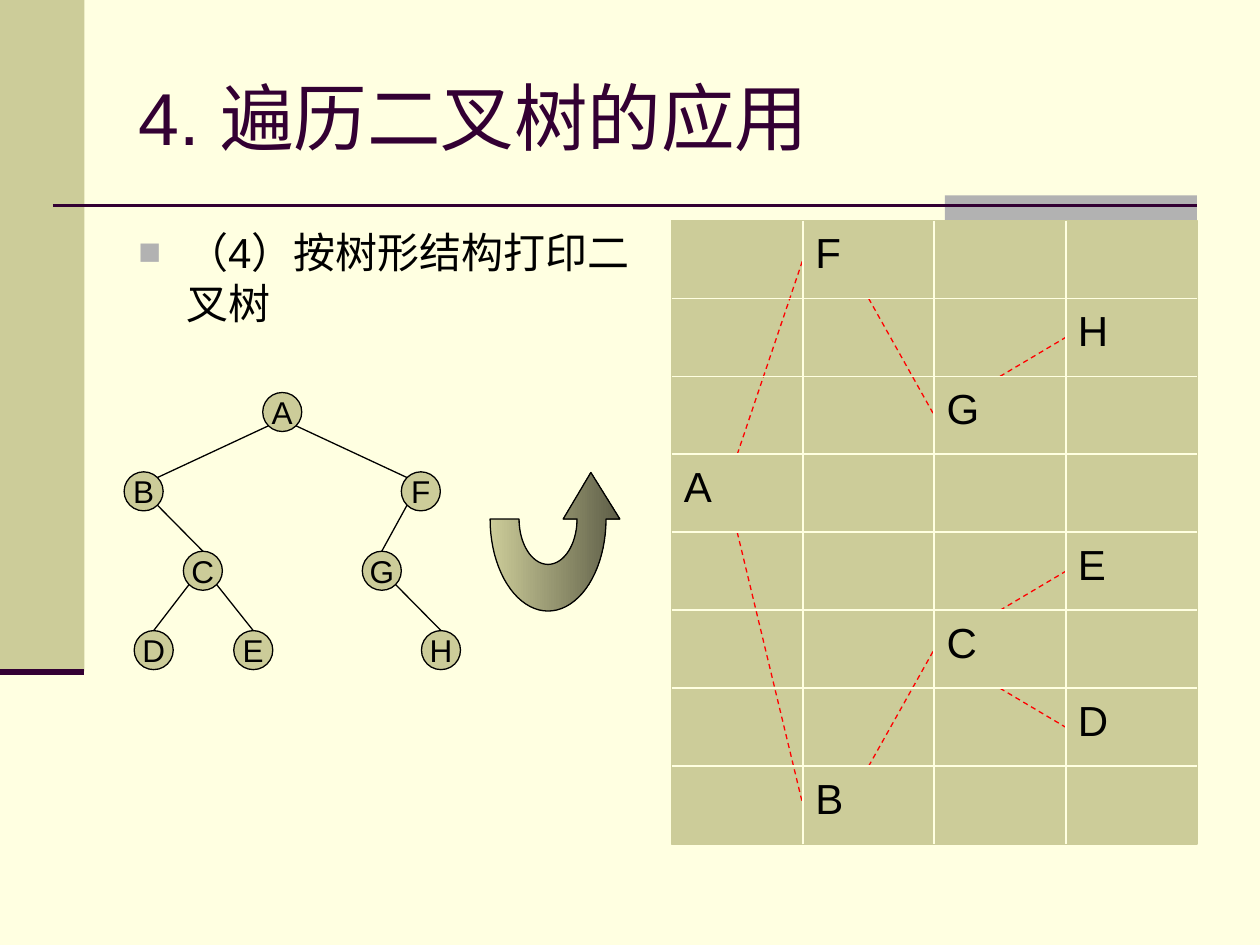
from dataclasses import dataclass
from math import cos, pi, sin, sqrt
from typing import Optional

from lxml.etree import SubElement
from pptx import Presentation
from pptx.dml.color import RGBColor
from pptx.enum.dml import MSO_LINE
from pptx.enum.shapes import MSO_CONNECTOR, MSO_SHAPE as Kind
from pptx.enum.text import MSO_ANCHOR as Anchor, PP_ALIGN as Align
from pptx.oxml.ns import qn
from pptx.util import Inches, Pt

CREAM = RGBColor(0xFF, 0xFF, 0xE1)
OLIVE = RGBColor(0xCC, 0xCC, 0x99)
SHADE = RGBColor(0x5E, 0x5E, 0x47)
GRAY = RGBColor(0xB2, 0xB2, 0xB2)
PLUM = RGBColor(0x33, 0x00, 0x33)
BLACK = RGBColor(0x00, 0x00, 0x00)
RED = RGBColor(0xFF, 0x00, 0x00)

LEFT, TOP, RIGHT, BASE = 5.33, 1.75, 9.5, 6.7
COLS, ROWS = 4, 8
WIDE, HIGH = (RIGHT - LEFT) / COLS, (BASE - TOP) / ROWS
ROOT_Y, STEP, SIZE = 3.27, 0.63, 0.31


@dataclass
class Node:
    name: str
    x: float
    depth: int
    row: int
    up: Optional[str] = None

    @property
    def y(self) -> float:
        return ROOT_Y + STEP * self.depth


NODES = [
    Node("A", 2.24, 0, 3),
    Node("B", 1.14, 1, 7, "A"),
    Node("F", 3.34, 1, 0, "A"),
    Node("C", 1.61, 2, 5, "B"),
    Node("G", 3.03, 2, 2, "F"),
    Node("D", 1.22, 3, 6, "C"),
    Node("E", 2.01, 3, 4, "C"),
    Node("H", 3.5, 3, 1, "G"),
]
TREE = {node.name: node for node in NODES}

deck = Presentation()
deck.slide_width, deck.slide_height = Inches(10), Inches(7.5)
slide = deck.slides.add_slide(deck.slide_layouts[6])
slide.background.fill.solid()
slide.background.fill.fore_color.rgb = CREAM
shapes = slide.shapes


def write(shape, text: str, *, size: float, color: RGBColor = BLACK,
          align=Align.LEFT, anchor=Anchor.TOP, wrap: bool = True, before: float = 0):
    frame = shape.text_frame
    frame.word_wrap = wrap
    frame.vertical_anchor = anchor
    para = frame.paragraphs[0]
    para.alignment = align
    para.space_before = Pt(before)
    run = para.add_run()
    run.text = text
    run.font.name = "Arial"
    run.font.size = Pt(size)
    run.font.color.rgb = color
    return para


def add_box(x: float, y: float, w: float, h: float, color: RGBColor,
            edge: Optional[RGBColor] = None, kind=Kind.RECTANGLE):
    box = shapes.add_shape(kind, Inches(x), Inches(y), Inches(w), Inches(h))
    box.shadow.inherit = False
    box.fill.solid()
    box.fill.fore_color.rgb = color
    if edge is None:
        box.line.fill.background()
    else:
        box.line.color.rgb = edge
        box.line.width = Pt(0.75)
    return box


def add_text(x: float, y: float, w: float, h: float):
    return shapes.add_textbox(Inches(x), Inches(y), Inches(w), Inches(h))


def add_line(x1: float, y1: float, x2: float, y2: float,
             color: RGBColor, width: float):
    line = shapes.add_connector(MSO_CONNECTOR.STRAIGHT, Inches(x1), Inches(y1),
                                Inches(x2), Inches(y2))
    line.line.color.rgb = color
    line.line.width = Pt(width)
    SubElement(line._element.spPr, qn("a:effectLst"))
    return line


def add_mark(para) -> None:
    props = para._p.get_or_add_pPr()
    props.set("marL", str(Inches(0.38)))
    props.set("indent", str(Inches(-0.38)))
    tint = SubElement(props, qn("a:buClr"))
    SubElement(tint, qn("a:srgbClr")).set("val", str(GRAY))
    SubElement(props, qn("a:buSzPct")).set("val", "90000")
    SubElement(props, qn("a:buFont")).set("typeface", "Arial")
    SubElement(props, qn("a:buChar")).set("char", "■")


def draw_frame() -> None:
    add_box(0, 0, 0.67, 5.33, OLIVE)
    add_box(7.5, 1.55, 2, 0.2, GRAY)
    add_line(0.42, 1.63, 9.5, 1.63, PLUM, 1.5)
    add_line(0, 5.33, 0.67, 5.33, PLUM, 3.5)
    write(add_text(1, 0.3, 8.5, 1.25), "4. 遍历二叉树的应用",
          size=42, color=PLUM, anchor=Anchor.MIDDLE)
    add_mark(write(add_text(1, 1.75, 4.17, 4.95), "（4）按树形结构打印二叉树",
                   size=24, before=6))


def draw_grid() -> None:
    names = {(node.row, node.depth): node.name for node in NODES}
    cells = {}
    for row in range(ROWS):
        for col in range(COLS):
            cell = add_box(LEFT + col * WIDE, TOP + row * HIGH, WIDE, HIGH,
                           OLIVE, OLIVE)
            name = names.get((row, col))
            if name:
                write(cell, name, size=24, before=6)
                cells[name] = cell
    for node in NODES[1:]:
        side = 0 if node.row < TREE[node.up].row else 2
        dash = add_line(0, 0, 1, 1, RED, 0.75)
        dash.line.dash_style = MSO_LINE.DASH
        dash.begin_connect(cells[node.up], side)
        dash.end_connect(cells[node.name], 1)
    for row in range(1, ROWS):
        y = TOP + row * HIGH
        add_line(LEFT, y, RIGHT, y, CREAM, 1)
    for col in range(1, COLS):
        x = LEFT + col * WIDE
        add_line(x, TOP, x, BASE, CREAM, 1)


def draw_tree() -> None:
    half = SIZE / 2
    slant = half / sqrt(2)
    for node in NODES:
        disc = add_box(node.x - half, node.y - half, SIZE, SIZE, OLIVE, BLACK,
                       Kind.OVAL)
        write(disc, node.name, size=18, align=Align.CENTER,
              anchor=Anchor.MIDDLE, wrap=False)
    for node in NODES[1:]:
        head = TREE[node.up]
        way = 1 if node.x > head.x else -1
        if node.depth == 1:
            x, y = node.x - way * slant, node.y - slant
        else:
            x, y = node.x, node.y - half
        add_line(head.x + way * slant, head.y + slant, x, y, BLACK, 0.75)


def draw_turn() -> None:
    mid, y, count = 4.35, 4.12, 40
    turns = [pi * i / count for i in range(count + 1)]
    inner = [(mid + 0.23 * cos(t), y + 0.36 * sin(t)) for t in turns]
    outer = [(mid - 0.46 * cos(t), y + 0.73 * sin(t)) for t in turns]
    tip = [(4.92, y), (4.69, 3.75), (4.47, y)]
    spots = [(Inches(a), Inches(b)) for a, b in inner + outer + tip]
    pen = shapes.build_freeform(*spots[0], scale=1.0)
    pen.add_line_segments(spots[1:], close=True)
    turn = pen.convert_to_shape()
    turn.shadow.inherit = False
    turn.fill.gradient()
    turn.fill.gradient_angle = 0
    for stop, color in zip(turn.fill.gradient_stops, (OLIVE, SHADE)):
        stop.color.rgb = color
    turn.line.color.rgb = BLACK
    turn.line.width = Pt(0.75)


def main() -> None:
    draw_frame()
    draw_grid()
    draw_tree()
    draw_turn()
    deck.save("out.pptx")


if __name__ == "__main__":
    main()
